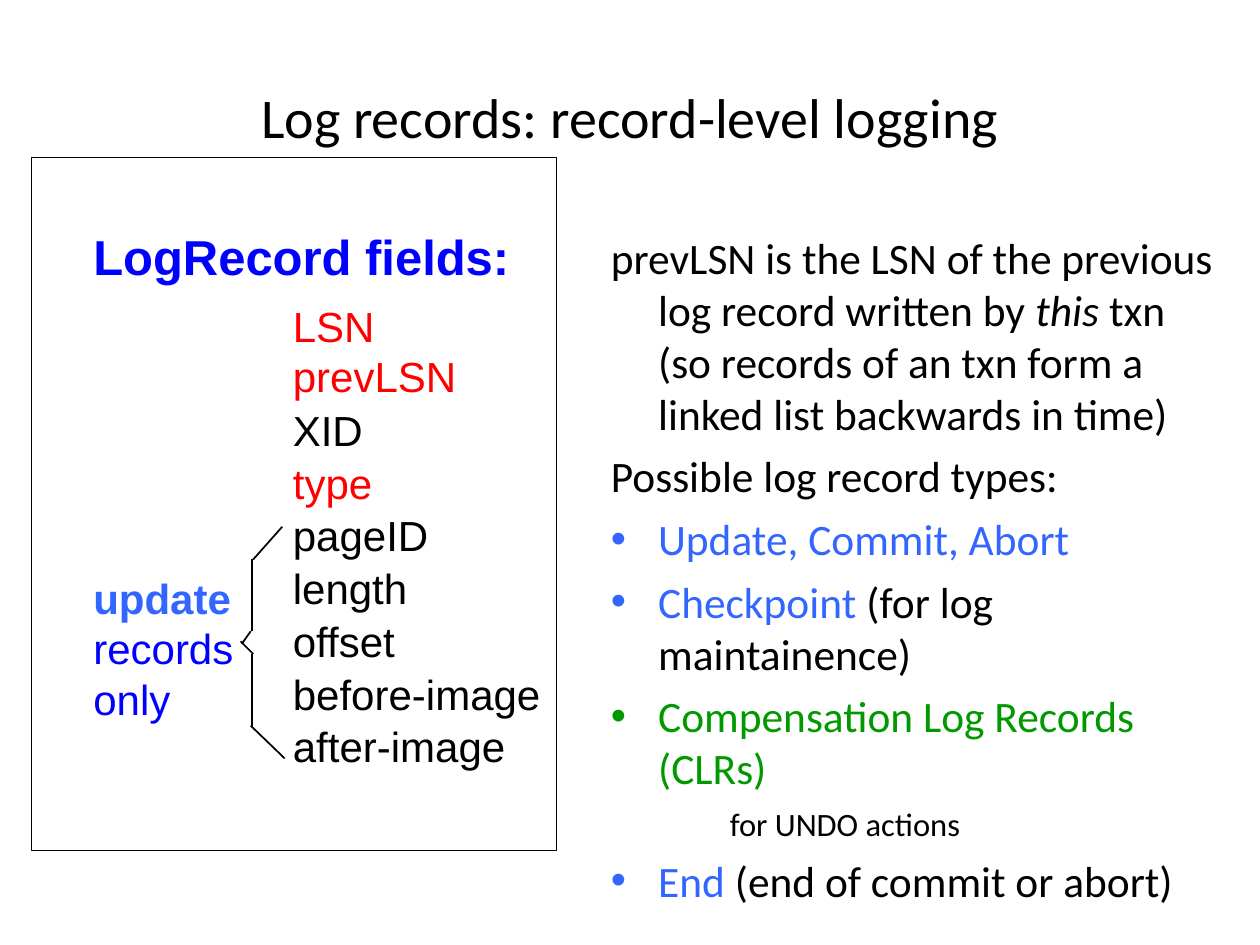
from pptx import Presentation
from pptx.dml.color import RGBColor
from pptx.enum.shapes import MSO_CONNECTOR, MSO_SHAPE
from pptx.enum.text import MSO_ANCHOR, MSO_AUTO_SIZE, PP_ALIGN
from pptx.oxml.ns import qn
from pptx.util import Pt
from lxml.etree import SubElement

BLACK = RGBColor(0, 0, 0)
RED = RGBColor(255, 0, 0)
BLUE = RGBColor(0, 0, 255)
SKY = RGBColor(0x33, 0x66, 0xFF)
GREEN = RGBColor(0, 0x99, 0)


class SlideWriter:
    label_font = "Arial"
    body_font = "Calibri"
    body_size = 24.8
    line_width = 0.99

    def __init__(self, page):
        self.page = page

    def text_box(self, left, top, width, height, wrap=True):
        box = self.page.shapes.add_textbox(Pt(left), Pt(top), Pt(width), Pt(height))
        box.text_frame.word_wrap = wrap
        return box.text_frame

    def paragraph(self, frame, number):
        return frame.add_paragraph() if number else frame.paragraphs[0]

    def span(self, para, text, font, size, color=BLACK, bold=False, italic=False):
        span = para.add_run()
        span.text = text
        span.font.name = font
        span.font.size = Pt(size)
        span.font.color.rgb = color
        span.font.bold = bold
        span.font.italic = italic

    def title(self, text, left, top, width, height):
        frame = self.text_box(left, top, width, height)
        frame.vertical_anchor = MSO_ANCHOR.MIDDLE
        frame.margin_left = frame.margin_right = 0
        frame.margin_top = frame.margin_bottom = 0
        para = frame.paragraphs[0]
        para.alignment = PP_ALIGN.CENTER
        self.span(para, text, self.body_font, 32)

    def label(self, lines, left, top, width, height, size=24):
        frame = self.text_box(left, top, width, height, wrap=False)
        frame.auto_size = MSO_AUTO_SIZE.SHAPE_TO_FIT_TEXT
        for number, (text, color, bold) in enumerate(lines):
            para = self.paragraph(frame, number)
            self.span(para, text, self.label_font, size, color, bold)

    def indent(self, para, margin, first, bullet=None):
        properties = para._p.get_or_add_pPr()
        properties.set("marL", str(Pt(margin)))
        properties.set("indent", str(Pt(first)))
        if bullet is not None:
            color = SubElement(properties, qn("a:buClr"))
            SubElement(color, qn("a:srgbClr"), val=str(bullet))
            SubElement(properties, qn("a:buFont"), typeface="Arial")
            SubElement(properties, qn("a:buChar"), char="•")
        else:
            SubElement(properties, qn("a:buNone"))

    def body(self, items, left, top, width, height):
        frame = self.text_box(left, top, width, height)
        for number, (kind, spans) in enumerate(items):
            para = self.paragraph(frame, number)
            para.space_before = Pt(6)
            if kind == "detail":
                para.level = 1
                self.indent(para, 68, 0)
            else:
                self.indent(para, 27, -27, spans[0][1] if kind == "bullet" else None)
            size = 18.6 if kind == "detail" else self.body_size
            for text, color, italic in spans:
                self.span(para, text, self.body_font, size, color, italic=italic)

    def line(self, start, end):
        line = self.page.shapes.add_connector(
            MSO_CONNECTOR.STRAIGHT, *[Pt(value) for value in (*start, *end)])
        line.line.color.rgb = BLACK
        line.line.width = Pt(self.line_width)
        SubElement(line._element.spPr, qn("a:effectLst"))

    def frame(self, left, top, width, height):
        shape = self.page.shapes.add_shape(
            MSO_SHAPE.RECTANGLE, Pt(left), Pt(top), Pt(width), Pt(height))
        shape.shadow.inherit = False
        shape.fill.background()
        shape.line.color.rgb = BLACK
        shape.line.width = Pt(self.line_width)


deck = Presentation()
deck.slide_width, deck.slide_height = Pt(720), Pt(540)
writer = SlideWriter(deck.slides.add_slide(deck.slide_layouts[6]))

writer.body([
    ("plain", [("prevLSN is the LSN of the previous log record written by ", BLACK, False),
               ("this", BLACK, True),
               (" txn (so records of an txn form a linked list backwards in time)", BLACK, False)]),
    ("plain", [("Possible log record types:", BLACK, False)]),
    ("bullet", [("Update, Commit, Abort", SKY, False)]),
    ("bullet", [("Checkpoint ", SKY, False), ("(for log maintainence)", BLACK, False)]),
    ("bullet", [("Compensation Log Records (CLRs)", GREEN, False)]),
    ("detail", [("for UNDO actions", BLACK, False)]),
    ("bullet", [("End ", SKY, False), ("(end of commit or abort)", BLACK, False)]),
], 342, 128.3, 360, 345)

FIELD_LEFT, FIELD_TOP, FIELD_STEP = 160.3, 227.7, 30.1
writer.label([("LSN", RED, False), ("prevLSN", RED, False)], FIELD_LEFT, 168, 108, 65)
fields = [("XID", BLACK, 55), ("type", RED, 60), ("pageID", BLACK, 92.5),
          ("length", BLACK, 80.5), ("offset", BLACK, 73.5),
          ("before-image", BLACK, 156.5), ("after-image", BLACK, 136.5)]
for row, (name, color, width) in enumerate(fields):
    writer.label([(name, color, False)], FIELD_LEFT, FIELD_TOP + row * FIELD_STEP, width, 36)

writer.label([("LogRecord fields:", BLUE, True)], 46.3, 126, 252, 40, size=28)
writer.label([("update", SKY, True), ("records", BLUE, False), ("only", BLUE, False)],
             46.3, 323.6, 94.5, 93.6)

brace = [((144, 319.7), (144, 360.7)), ((144, 373.7), (144, 414.7)),
         ((144.7, 373.7), (137.5, 366.5)), ((138.2, 367.9), (143.3, 360.7)),
         ((144.7, 319.7), (161.3, 301)), ((162.7, 433.4), (143.3, 414.7))]
for start, end in brace:
    writer.line(start, end)

writer.frame(18, 90, 300, 396)
writer.title("Log records: record-level logging", 36, 21.6, 648, 90)

deck.save("out.pptx")
